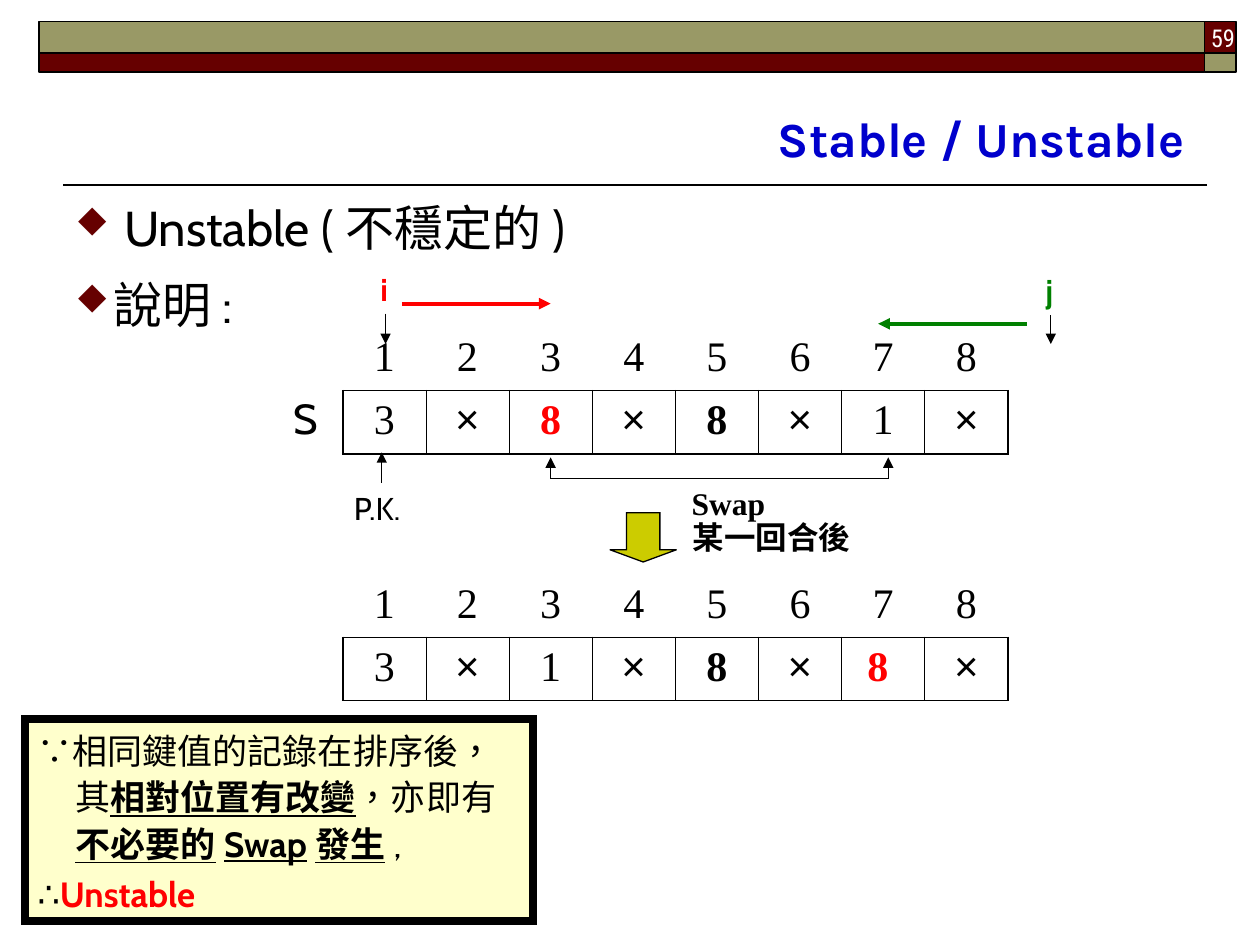
from lxml import etree
from pptx import Presentation
from pptx import util as u
from pptx.dml.color import RGBColor
from pptx.enum import shapes, text
from pptx.oxml.ns import qn

COLORS = {
    "black": "000000", "white": "FFFFFF", "maroon": "660000", "olive": "999966",
    "blue": "0000CC", "red": "FF0000", "green": "008000",
    "cream": "FFFFCC", "mustard": "CCCC00",
}
RGB = {name: RGBColor.from_string(value) for name, value in COLORS.items()}

deck = Presentation()
deck.slide_width, deck.slide_height = u.Inches(10), u.Inches(7.5)
page = deck.slides.add_slide(deck.slide_layouts[6])


def add_line(start, end, color="black", width=0.75, arrow=True, source=None, site=0):
    """Draw a line, joined to a side of the source box if there is one."""
    line = page.shapes.add_connector(
        shapes.MSO_CONNECTOR.STRAIGHT, *[u.Inches(value) for value in start + end])
    if source is not None:
        line.begin_connect(source, site)
    line.line.color.rgb = RGB[color]
    line.line.width = u.Pt(width)
    if arrow:
        outline = line.line._get_or_add_ln()
        etree.SubElement(outline, qn("a:tailEnd"), type="triangle")
    etree.SubElement(line._element.spPr, qn("a:effectLst"))


def style(para, size, font, color="black", bold=False, align=None):
    para.font.size = u.Pt(size)
    para.font.name = font
    para.font.color.rgb = RGB[color]
    para.font.bold = bold
    para.alignment = align


# Header band and title rule
for left, top, width, height, color in [
    (9.56, 0.17, 0.25, 0.25, "maroon"),
    (0.31, 0.17, 9.25, 0.25, "olive"),
    (0.31, 0.42, 9.25, 0.15, "maroon"),
    (9.56, 0.42, 0.25, 0.15, "olive"),
]:
    band = page.shapes.add_shape(
        shapes.MSO_SHAPE.RECTANGLE,
        u.Inches(left), u.Inches(top), u.Inches(width), u.Inches(height))
    band.shadow.inherit = False
    band.fill.solid()
    band.fill.fore_color.rgb = RGB[color]
    band.line.color.rgb = RGB["black"]
    band.line.width = u.Pt(1)
add_line((9.58, 1.47), (0.5, 1.47), width=1, arrow=False)

# Title and page number
for words, place, size, font, color, bold, anchor in [
    ("Stable / Unstable", (0.5, 0.58, 9, 0.8), 28, "Karla", "blue", True,
     text.MSO_ANCHOR.BOTTOM),
    ("59", (7.82, 0.13, 2.08, 0.32), 14, "Roboto Condensed", "white", False,
     text.MSO_ANCHOR.TOP),
]:
    frame = page.shapes.add_textbox(*[u.Inches(value) for value in place]).text_frame
    frame.word_wrap = True
    frame.vertical_anchor = anchor
    frame.text = words
    style(frame.paragraphs[0], size, font, color, bold, text.PP_ALIGN.RIGHT)

# Bulleted body; the letter u is a solid diamond in Wingdings
body = page.shapes.add_textbox(
    u.Inches(0.5), u.Inches(1.47), u.Inches(9.07), u.Inches(5.59)).text_frame
body.word_wrap = True
body.text = " Unstable (不穩定的)\n說明:"
for index, para in enumerate(body.paragraphs):
    props = para._p.get_or_add_pPr()
    props.set("marL", str(u.Inches(0.3)))
    props.set("indent", str(u.Inches(-0.3)))
    bullet_color = etree.SubElement(props, qn("a:buClr"))
    etree.SubElement(bullet_color, qn("a:srgbClr"), val=COLORS["maroon"])
    etree.SubElement(props, qn("a:buSzPct"), val="70000")
    etree.SubElement(props, qn("a:buFont"), typeface="Wingdings", charset="2")
    etree.SubElement(props, qn("a:buChar"), char="u")
    para.line_spacing = 1.1
    if index:
        para.space_before = u.Pt(7)
    style(para, 28, "Cabin")

# Records before and after the swap; (value, color, bold)
PLAIN_3, PLAIN_1 = ("3", "black", False), ("1", "black", False)
OTHER, BLACK_8 = ("×", "black", False), ("8", "black", True)
before = [PLAIN_3, OTHER, ("8", "red", True), OTHER, BLACK_8, OTHER, PLAIN_1, OTHER]
after = [PLAIN_3, OTHER, PLAIN_1, OTHER, BLACK_8, OTHER, ("8 ", "red", True), OTHER]
positions = [(str(number), "black", False) for number in range(1, 9)]
THICK, THIN = 1.08, 0.45

for top, records in [(2.6, before), (4.56, after)]:
    table = page.shapes.add_table(
        2, 8, u.Inches(2.72), u.Inches(top), u.Inches(5.28), u.Inches(1)).table
    table.first_row = table.horz_banding = False
    for row, entries in enumerate([positions, records]):
        for column, (value, color, bold) in enumerate(entries):
            cell = table.cell(row, column)
            cell.fill.background()
            cell.text = value
            style(cell.text_frame.paragraphs[0], 24,
                  "Arial" if value == "×" else "Times New Roman",
                  color, bold, text.PP_ALIGN.CENTER)
            borders = {"lnB": THICK}
            if row == 1:
                borders = {
                    "lnL": THICK if column == 0 else THIN,
                    "lnR": THICK if column == 7 else THIN,
                    "lnT": THICK,
                    "lnB": THICK,
                }
            for index, (side, width) in enumerate(borders.items()):
                border = etree.Element(qn("a:" + side), w=str(u.Pt(width)))
                fill = etree.SubElement(border, qn("a:solidFill"))
                etree.SubElement(fill, qn("a:srgbClr"), val=COLORS["black"])
                cell._tc.get_or_add_tcPr().insert(index, border)

# Labels around the tables
labels = {}
for words, left, top, width, height, size, font, color, bold in [
    ("S", 2.23, 3.07, 0.38, 0.5, 24, "Cabin", "black", False),
    ("某一回合後", 5.4, 4.06, 1.45, 0.4, 18, "Times New Roman", "black", True),
    ("P.K.", 2.71, 3.83, 0.64, 0.4, 18, "Cabin", "black", False),
    ("i", 2.92, 2.09, 0.28, 0.4, 18, "Cabin", "red", True),
    ("j", 8.2, 2.1, 0.28, 0.4, 18, "Cabin", "green", True),
    ("Swap", 5.39, 3.79, 0.85, 0.4, 18, "Times New Roman", "black", True),
]:
    label = page.shapes.add_textbox(
        u.Inches(left), u.Inches(top), u.Inches(width), u.Inches(height))
    label.text_frame.word_wrap = False
    label.text_frame.auto_size = text.MSO_AUTO_SIZE.NONE
    label.text_frame.text = words
    style(label.text_frame.paragraphs[0], size, font, color, bold, text.PP_ALIGN.LEFT)
    labels[words] = label
labels["Swap"].text_frame.word_wrap = True

# Pointers, scan directions and swap bracket
add_line((3.03, 3.83), (3.03, 3.59), source=labels["P.K."], site=0)
add_line((3.06, 2.49), (3.06, 2.73), source=labels["i"], site=2)
add_line((8.34, 2.5), (8.34, 2.73), source=labels["j"], site=2)
add_line((3.19, 2.41), (4.37, 2.41), "red", 2.25)
add_line((8.15, 2.57), (6.97, 2.57), "green", 2.25)
add_line((4.37, 3.8), (7.05, 3.8), arrow=False)
for swapped in (4.37, 7.05):
    add_line((swapped, 3.8), (swapped, 3.63))

step = page.shapes.add_shape(
    shapes.MSO_SHAPE.DOWN_ARROW,
    u.Inches(4.84), u.Inches(4.07), u.Inches(0.53), u.Inches(0.39))
step.adjustments[0], step.adjustments[1] = 0.5, 0.25
conclusion = page.shapes.add_shape(
    shapes.MSO_SHAPE.RECTANGLE,
    u.Inches(0.2), u.Inches(5.71), u.Inches(4.03), u.Inches(1.6))
for shape, color, width in [(step, "mustard", 0.75), (conclusion, "cream", 4.5)]:
    shape.shadow.inherit = False
    shape.fill.solid()
    shape.fill.fore_color.rgb = RGB[color]
    shape.line.color.rgb = RGB["black"]
    shape.line.width = u.Pt(width)
    etree.SubElement(shape.line._get_or_add_ln(), qn("a:miter"), lim="800000")

# Conclusion; (words, emphasised)
frame = conclusion.text_frame
frame.word_wrap = True
frame.vertical_anchor = text.MSO_ANCHOR.TOP
reason, result = frame.paragraphs[0], frame.add_paragraph()
for para in (reason, result):
    props = para._p.get_or_add_pPr()
    props.set("marL", str(u.Inches(0.3)))
    props.set("indent", str(u.Inches(-0.3)))
    para.line_spacing = 1.1
    style(para, 20, "Cabin", align=text.PP_ALIGN.LEFT)
result.space_before = u.Pt(2.5)
for words, emphasised in [
    ("∵相同鍵值的記錄在排序後，其", False), ("相對位置有改變", True),
    ("，亦即有", False), ("不必要的Swap發生", True), (",", False),
]:
    span = reason.add_run()
    span.text = words
    span.font.bold = span.font.underline = emphasised
    span._r.get_or_add_rPr().set("lang", "zh-TW")
result.add_run().text = "∴"
span = result.add_run()
span.text = "Unstable"
span.font.bold = True
span.font.color.rgb = RGB["red"]

deck.save("out.pptx")
